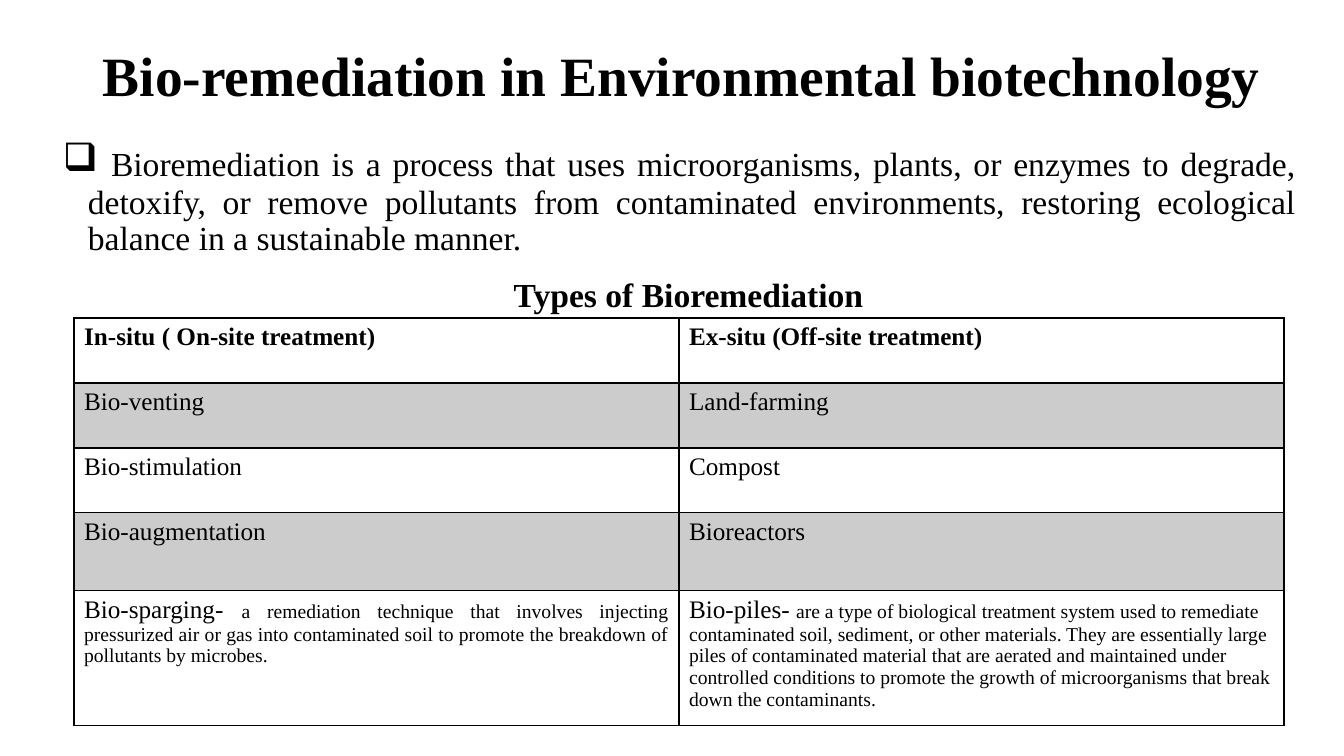
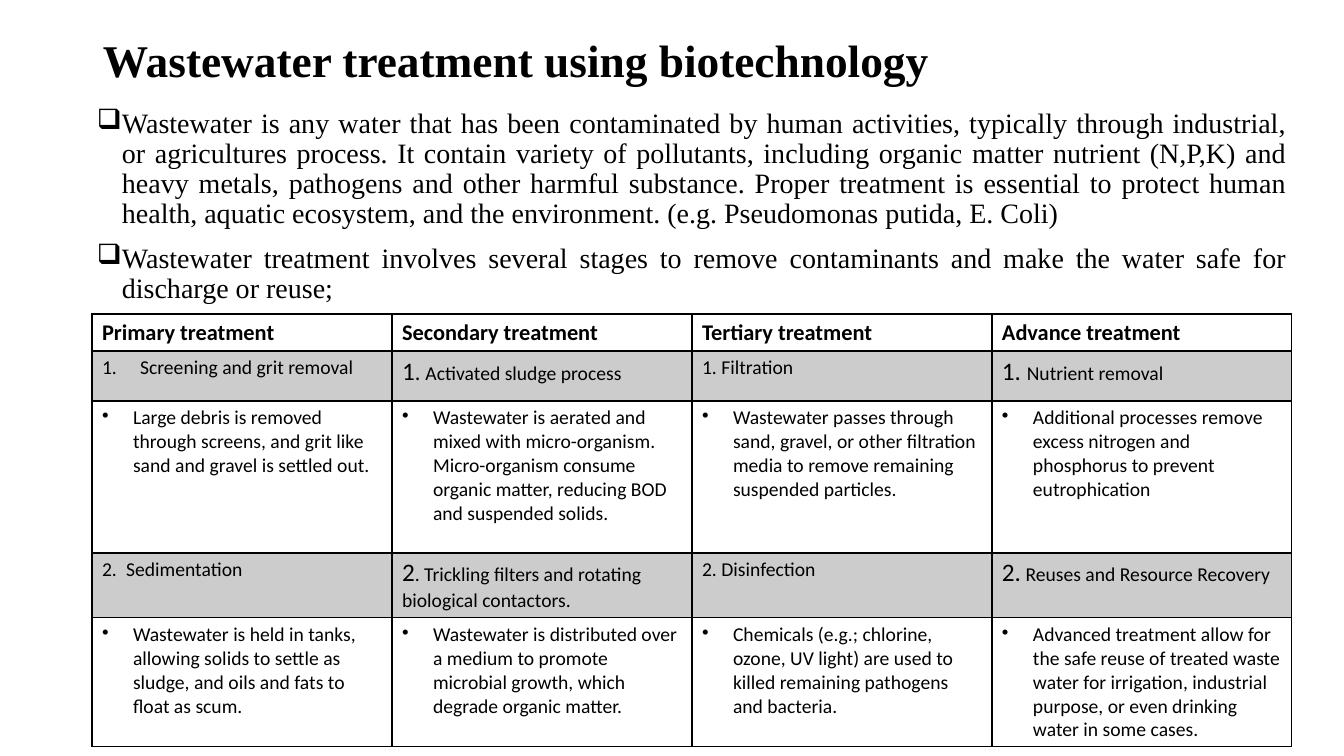
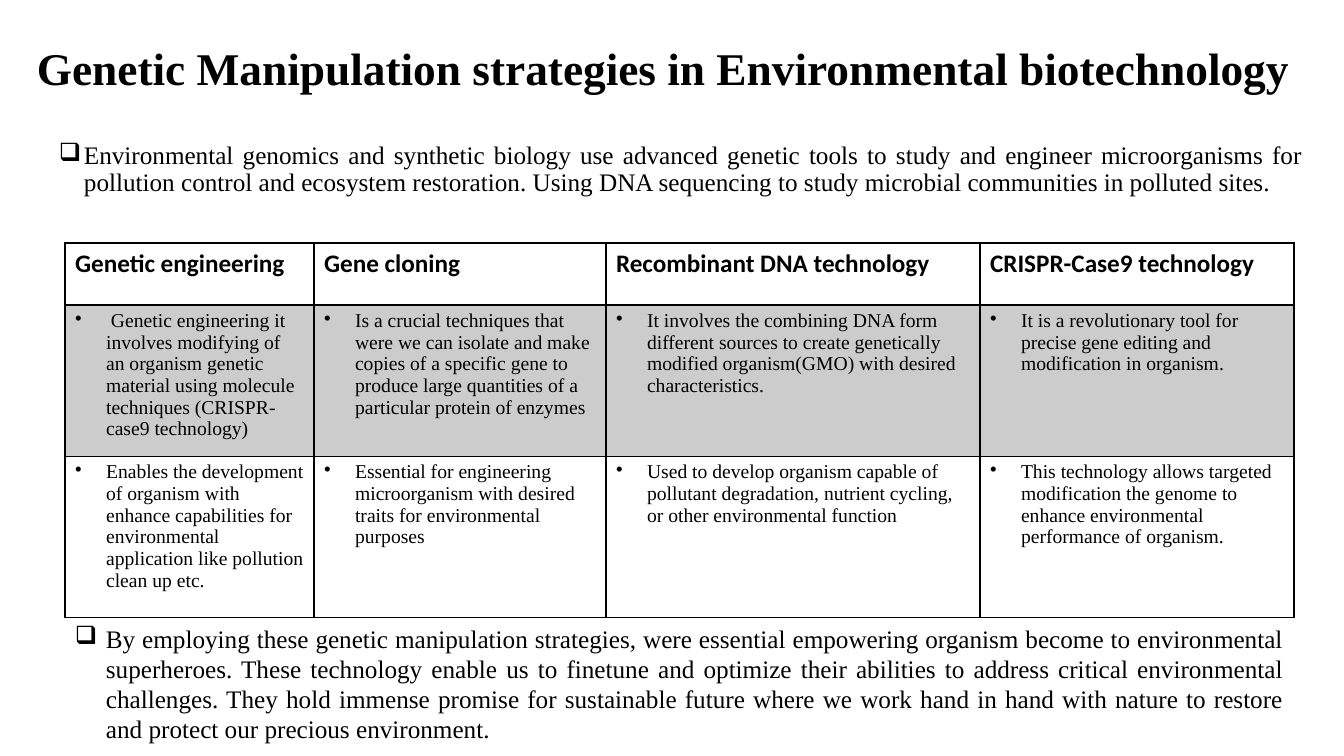
from lxml.etree import SubElement
from pptx import Presentation
from pptx.dml.color import RGBColor
from pptx.enum.text import MSO_ANCHOR, PP_ALIGN
from pptx.oxml.ns import qn
from pptx.util import Emu, Pt

WIDTH, HEIGHT = 1344, 756
SCALE = 12192000 / WIDTH
COLORS = {"ink": "000000", "paper": "FFFFFF", "band": "CCCCCC"}
SERIF, SANS = "Times New Roman", "Calibri"
JUSTIFY, CENTER = PP_ALIGN.JUSTIFY, PP_ALIGN.CENTER
THIN, THICK = 1, 2


def px(length):
    return Emu(round(length * SCALE))


def write(paragraph, text, size=18, font=SERIF, bold=False, align=None,
          bullet=None, indent=0, hanging=True, line=None, before=None):
    """Text is a string or a list of (string, size); a number as bullet starts a count."""
    properties = paragraph._p.get_or_add_pPr()
    if indent:
        properties.set("marL", str(px(indent)))
        properties.set("indent", str(-px(indent) if hanging else 0))
    if isinstance(bullet, int):
        SubElement(properties, qn("a:buAutoNum"), type="arabicPeriod", startAt=str(bullet))
    elif bullet:
        SubElement(properties, qn("a:buChar"), char=bullet)
    if align is not None:
        paragraph.alignment = align
    if line:
        paragraph.line_spacing = line
    if before:
        paragraph.space_before = Pt(before)
    for words, points in [(text, size)] if isinstance(text, str) else text:
        run = paragraph.add_run()
        run.text = words
        run.font.size = Pt(points)
        run.font.name = font
        run.font.bold = bold
        run.font.color.rgb = RGBColor.from_string(COLORS["ink"])


class Deck:
    def __init__(self):
        self.show = Presentation()
        self.show.slide_width, self.show.slide_height = px(WIDTH), px(HEIGHT)
        self.slide = None

    def new_slide(self):
        self.slide = self.show.slides.add_slide(self.show.slide_layouts[6])

    def text(self, box, *paragraphs, anchor=MSO_ANCHOR.TOP):
        """Each paragraph is a pair of text and format."""
        frame = self.slide.shapes.add_textbox(*map(px, box)).text_frame
        frame.word_wrap = True
        frame.vertical_anchor = anchor
        for number, (text, style) in enumerate(paragraphs):
            paragraph = frame.add_paragraph() if number else frame.paragraphs[0]
            write(paragraph, text, **style)

    def title(self, box, text, size=32.4):
        self.text(box, (text, dict(size=size, bold=True, line=0.9)), anchor=MSO_ANCHOR.MIDDLE)

    def table(self, left, top, widths, rows):
        """Each row is height, format and cells; a cell may carry its own format."""
        heights = [height for height, _, _ in rows]
        frame = self.slide.shapes.add_table(
            len(rows), len(widths), *map(px, (left, top, sum(widths), sum(heights))))
        table = frame.table
        table.first_row = table.horz_banding = False
        for column, width in zip(table.columns, widths):
            column.width = px(width)
        for r, (height, style, cells) in enumerate(rows):
            table.rows[r].height = px(height)
            for c, content in enumerate(cells):
                text, own = content if isinstance(content, tuple) else (content, {})
                cell = table.cell(r, c)
                self.borders(cell, top=THICK if r == 1 else THIN,
                             bottom=THICK if r == 0 else THIN)
                cell.fill.solid()
                cell.fill.fore_color.rgb = RGBColor.from_string(
                    COLORS["band" if r % 2 else "paper"])
                write(cell.text_frame.paragraphs[0], text, **{**style, **own})

    def borders(self, cell, top, bottom):
        properties = cell._tc.get_or_add_tcPr()
        for side, width in (("L", THIN), ("R", THIN), ("T", top), ("B", bottom)):
            edge = SubElement(properties, qn(f"a:ln{side}"), w=str(Pt(width)))
            SubElement(SubElement(edge, qn("a:solidFill")), qn("a:srgbClr"), val=COLORS["ink"])


# Formats shared by the slides
LEAD = dict(bullet="❑", indent=25, align=JUSTIFY, line=0.9)
POINT = dict(bullet="•", indent=31, size=14)
SANS_POINT = dict(POINT, font=SANS)
STEP = dict(size=14, font=SANS)


def bioremediation(deck):
    deck.new_slide()
    deck.title((93, 40, 1214, 78), "Bio-remediation in Environmental biotechnology", size=39.6)
    deck.text(
        (53, 138, 1253, 578),
        ([(" ", 28), ("Bioremediation is a process that uses microorganisms, plants, or enzymes to "
                      "degrade, detoxify, or remove pollutants from contaminated environments, "
                      "restoring ecological balance in a sustainable manner.", 24)], LEAD),
        ("Types of Bioremediation",
         dict(size=24, bold=True, align=CENTER, indent=18, hanging=False, line=0.9, before=15)))
    sparging = [("Bio-sparging- ", 18),
                ("a remediation technique that involves injecting pressurized air or gas into "
                 "contaminated soil to promote the breakdown of pollutants by microbes.", 14)]
    piles = [("Bio-piles- ", 18),
             ("are a type of biological treatment system used to remediate contaminated soil, "
              "sediment, or other materials. They are essentially large piles of contaminated "
              "material that are aerated and maintained under controlled conditions to promote "
              "the growth of microorganisms that break down the contaminants.", 14)]
    deck.table(74, 318, [605] * 2, [
        (65, dict(bold=True), ["In-situ ( On-site treatment)", "Ex-situ (Off-site treatment)"]),
        (65, {}, ["Bio-venting", "Land-farming"]),
        (65, {}, ["Bio-stimulation", "Compost"]),
        (78, {}, ["Bio-augmentation", "Bioreactors"]),
        (124, {}, [(sparging, dict(align=JUSTIFY)), piles]),
    ])


def wastewater(deck):
    deck.new_slide()
    deck.title((93, 22, 1159, 82), "Wastewater treatment using biotechnology")
    deck.text(
        (87, 104, 1210, 614),
        ("Wastewater is any water that has been contaminated by human activities, typically "
         "through industrial, or agricultures process. It contain variety of pollutants, "
         "including organic matter nutrient (N,P,K) and heavy metals, pathogens and other "
         "harmful substance. Proper treatment is essential to protect human health, aquatic "
         "ecosystem, and the environment. (e.g. Pseudomonas putida, E. Coli)",
         dict(LEAD, size=20)),
        ("Wastewater treatment involves several stages to remove contaminants and make the "
         "water safe for discharge or reuse;", dict(LEAD, size=20, before=10)))
    deck.table(92, 314, [300] * 4, [
        (37, dict(size=16, font=SANS, bold=True),
         ["Primary treatment", "Secondary treatment", "Tertiary treatment", "Advance treatment"]),
        (50, STEP,
         [("Screening and grit removal", dict(bullet=1, indent=38)),
          [("1", 18), (". ", 16), ("Activated sludge process", 14)],
          "1. Filtration",
          [("1. ", 18), ("Nutrient removal", 14)]]),
        (152, SANS_POINT,
         ["Large debris is removed through screens, and grit like sand and gravel is "
          "settled out.",
          "Wastewater is aerated and mixed with micro-organism. Micro-organism consume "
          "organic matter, reducing BOD and suspended solids.",
          "Wastewater passes through sand, gravel, or other filtration media to remove "
          "remaining suspended particles.",
          "Additional processes remove excess nitrogen and phosphorus to prevent "
          "eutrophication"]),
        (65, STEP,
         [("Sedimentation", dict(bullet=2, indent=24)),
          [("2", 18), (". Trickling filters and rotating biological contactors.", 14)],
          "2. Disinfection",
          [("2.", 18), (" Reuses and Resource Recovery", 14)]]),
        (129, SANS_POINT,
         ["Wastewater is held in tanks, allowing solids to settle as sludge, and oils and "
          "fats to float as scum.",
          "Wastewater is distributed over a medium to promote microbial growth, which "
          "degrade organic matter.",
          "Chemicals (e.g.; chlorine, ozone, UV light) are used to killed remaining "
          "pathogens and bacteria.",
          "Advanced treatment allow for the safe reuse of treated waste water for "
          "irrigation, industrial purpose, or even drinking water in some cases."]),
    ])


def genetic_manipulation(deck):
    deck.new_slide()
    deck.title((27, 40, 1275, 62),
               "Genetic Manipulation strategies in Environmental biotechnology")
    deck.text(
        (49, 138, 1264, 612),
        ("Environmental genomics and synthetic biology use advanced genetic tools to study and "
         "engineer microorganisms for pollution control and ecosystem restoration. Using DNA "
         "sequencing to study microbial communities in polluted sites.", LEAD))
    deck.table(65, 243, [249, 292, 374, 314], [
        (62, dict(font=SANS, bold=True),
         ["Genetic engineering", "Gene cloning", "Recombinant DNA technology",
          "CRISPR-Case9 technology"]),
        (144, POINT,
         [" Genetic engineering it involves modifying of an organism genetic material using "
          "molecule techniques (CRISPR-case9 technology)",
          "Is a crucial techniques that were we can isolate and make copies of a specific "
          "gene to produce large quantities of a particular protein of enzymes",
          "It involves the combining DNA form different sources to create genetically "
          "modified organism(GMO) with desired characteristics.",
          "It is a revolutionary tool for precise gene editing and modification in organism."]),
        (161, POINT,
         ["Enables the development of organism with enhance capabilities for environmental "
          "application like pollution clean up etc.",
          "Essential for engineering microorganism with desired traits for environmental "
          "purposes",
          "Used to develop organism capable of pollutant degradation, nutrient cycling, or "
          "other environmental function",
          "This technology allows targeted modification the genome to enhance environmental "
          "performance of organism."]),
    ])
    deck.text(
        (65, 618, 1229, 132),
        ("By employing these genetic manipulation strategies, were essential empowering "
         "organism become to environmental superheroes. These technology enable us to finetune "
         "and optimize their abilities to address critical environmental challenges. They hold "
         "immense promise for sustainable future where we work hand in hand with nature to "
         "restore and protect our precious environment.",
         dict(bullet="❑", indent=31, align=JUSTIFY)))


def main():
    deck = Deck()
    bioremediation(deck)
    wastewater(deck)
    genetic_manipulation(deck)
    deck.show.save("out.pptx")


if __name__ == "__main__":
    main()
